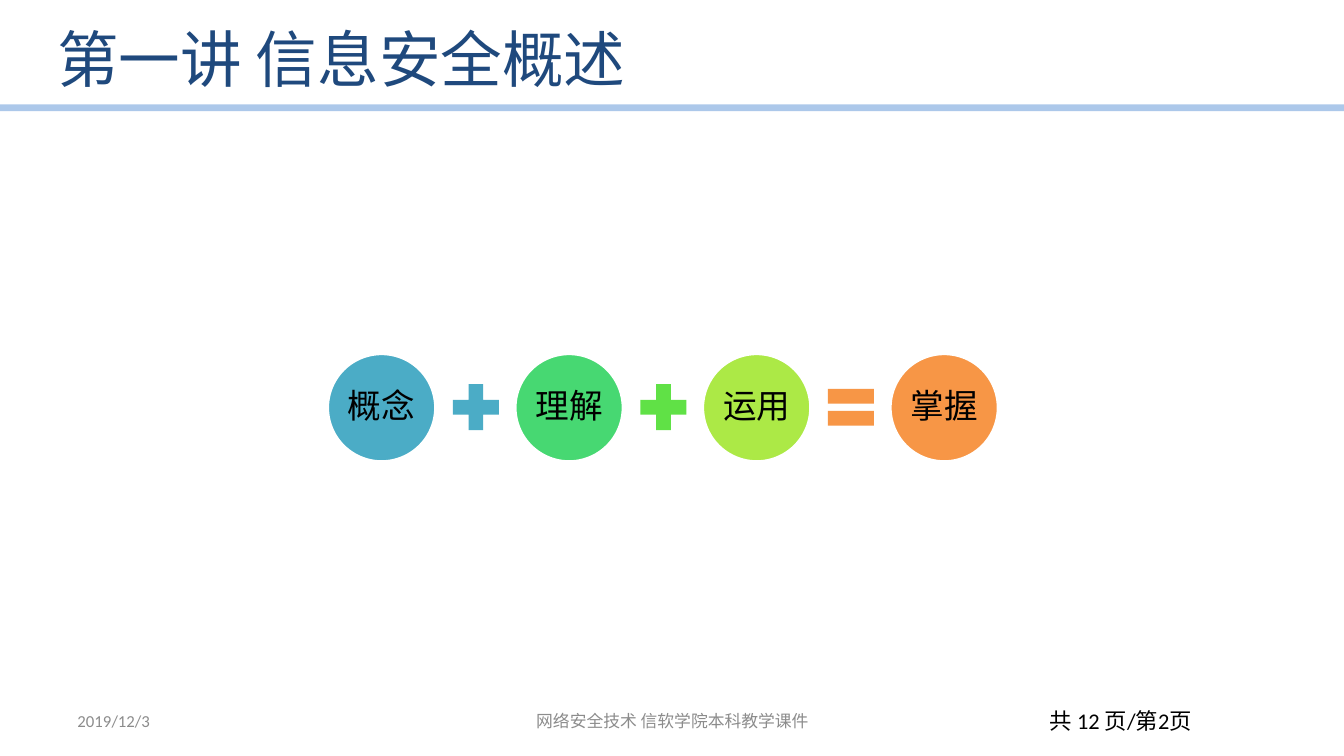
"""Build the slide that opens lecture one on information security."""
from dataclasses import dataclass

from lxml.etree import SubElement
from pptx import Presentation
from pptx.dml.color import RGBColor
from pptx.enum.shapes import MSO_CONNECTOR as Connector, MSO_SHAPE as Shape
from pptx.enum.text import MSO_ANCHOR as Anchor, PP_ALIGN as Align
from pptx.oxml.ns import qn
from pptx.util import Inches, Pt

COLORS = {
    "title": "1F497D", "rule": "8EB4E3", "footer": "8C8C8C",
    "black": "000000", "white": "FFFFFF", "blue": "4BACC6",
    "green": "47D872", "leaf": "60E146", "lime": "ACE946", "orange": "F79646",
}
LATIN_FONT = "Calibri"
CHINESE_FONT = "Noto Sans CJK SC"

FIRST_LEFT, PITCH = 3.25, 1.86
CIRCLE_TOP, CIRCLE_SIZE = 3.51, 1.07
OPERATOR_OFFSET, OPERATOR_TOP, OPERATOR_SIZE = 1.16, 3.73, 0.62
FOOTER_TOP, FOOTER_HEIGHT = 6.95, 0.4

MARGINS = ("margin_left", "margin_top", "margin_right", "margin_bottom")
CIRCLE_FRAME = dict.fromkeys(MARGINS, Inches(0.03))
CIRCLE_PARAGRAPH = {"line_spacing": 0.9}


@dataclass(frozen=True)
class Label:
    """A text box with its place and style."""
    text: str
    left: float
    top: float
    width: float
    height: float
    size: int
    color: str
    font: str = LATIN_FONT
    align: Align = Align.LEFT


@dataclass(frozen=True)
class Term:
    """A circle of the equation and the operator after it."""
    text: str
    color: str
    operator: Shape | None = None
    operator_color: str = ""


LABELS = [
    Label("第一讲 信息安全概述", 0.47, 0.09, 11.02, 0.97, 44, "title", CHINESE_FONT),
    Label("2019/12/3", 0.67, FOOTER_TOP, 3.11, FOOTER_HEIGHT, 12, "footer"),
    Label("网络安全技术 信软学院本科教学课件", 4.56, FOOTER_TOP, 4.22, FOOTER_HEIGHT,
          12, "footer", align=Align.CENTER),
    Label("共 12 页/第2页", 9.56, FOOTER_TOP, 3.11, FOOTER_HEIGHT,
          16, "black", align=Align.CENTER),
]
TERMS = [
    Term("概念", "blue", Shape.MATH_PLUS, "blue"),
    Term("理解", "green", Shape.MATH_PLUS, "leaf"),
    Term("运用", "lime", Shape.MATH_EQUAL, "orange"),
    Term("掌握", "orange"),
]


def rgb(name: str) -> RGBColor:
    """Look up a named colour."""
    return RGBColor.from_string(COLORS[name])


def apply_format(target: object, values: dict) -> None:
    """Set each named attribute on the target."""
    for name, value in values.items():
        setattr(target, name, value)


def write_text(shape, text: str, size: int, color: str, font: str, align: Align) -> None:
    """Write one styled, vertically centred paragraph into a shape."""
    apply_format(shape.text_frame, {"word_wrap": True, "vertical_anchor": Anchor.MIDDLE})
    paragraph = shape.text_frame.paragraphs[0]
    paragraph.alignment = align
    run = paragraph.add_run()
    run.text = text
    apply_format(run.font, {"size": Pt(size), "name": font})
    run.font.color.rgb = rgb(color)
    SubElement(run.font._element, qn("a:ea")).set("typeface", CHINESE_FONT)


def add_title_rule(slide) -> None:
    """Draw the translucent line under the title."""
    line = slide.shapes.add_connector(
        Connector.STRAIGHT, 0, Inches(1.07), Inches(13.33), Inches(1.07))
    line.line.width = Pt(4.75)
    line.line.color.rgb = rgb("rule")
    properties = line._element.spPr
    color = next(properties.iter(qn("a:srgbClr")))
    SubElement(color, qn("a:alpha")).set("val", "73000")
    SubElement(properties, qn("a:effectLst"))


def add_label(slide, label: Label) -> None:
    """Add a text box."""
    box = slide.shapes.add_textbox(
        *map(Inches, (label.left, label.top, label.width, label.height)))
    write_text(box, label.text, label.size, label.color, label.font, label.align)


def add_filled_shape(slide, kind: Shape, left: float, top: float, size: float, color: str):
    """Add a square-framed shape with a flat fill and no outline."""
    shape = slide.shapes.add_shape(kind, *map(Inches, (left, top, size, size)))
    shape.shadow.inherit = False
    shape.fill.solid()
    shape.fill.fore_color.rgb = rgb(color)
    shape.line.fill.background()
    return shape


def add_term(slide, term: Term, index: int) -> None:
    """Add a circle and, when there is one, the operator after it."""
    left = FIRST_LEFT + index * PITCH
    circle = add_filled_shape(slide, Shape.OVAL, left, CIRCLE_TOP, CIRCLE_SIZE, term.color)
    circle.line.color.rgb = rgb("white")
    circle.line.width = Pt(2)
    write_text(circle, term.text, 24, "black", CHINESE_FONT, Align.CENTER)
    apply_format(circle.text_frame, CIRCLE_FRAME)
    apply_format(circle.text_frame.paragraphs[0], CIRCLE_PARAGRAPH)
    if term.operator is not None:
        add_filled_shape(slide, term.operator, left + OPERATOR_OFFSET,
                         OPERATOR_TOP, OPERATOR_SIZE, term.operator_color)


def main() -> None:
    """Build and save the presentation."""
    presentation = Presentation()
    apply_format(presentation, {"slide_width": Inches(13.33), "slide_height": Inches(7.5)})
    slide = presentation.slides.add_slide(presentation.slide_layouts[6])
    add_title_rule(slide)
    for label in LABELS:
        add_label(slide, label)
    for index, term in enumerate(TERMS):
        add_term(slide, term, index)
    presentation.save("out.pptx")


if __name__ == "__main__":
    main()
